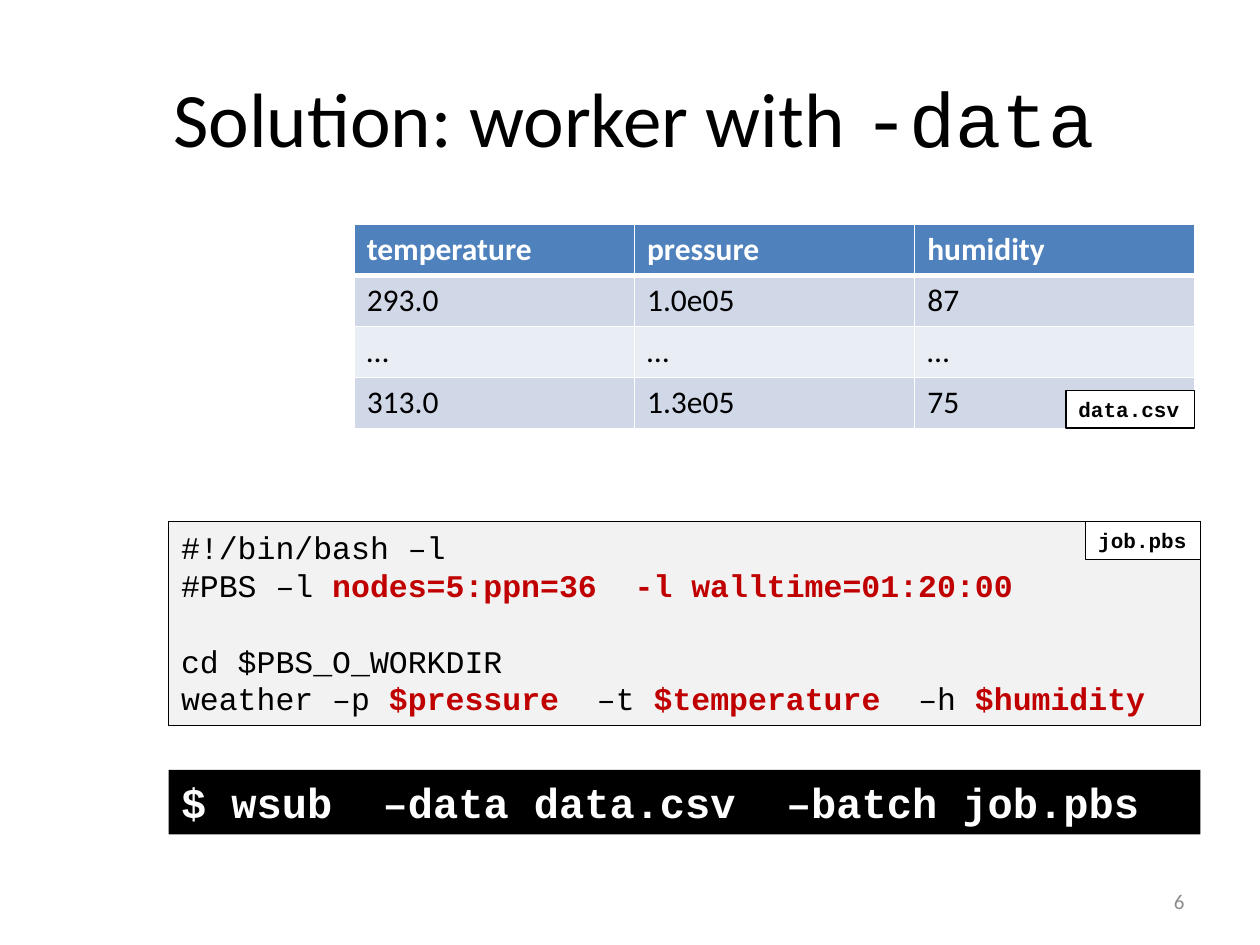
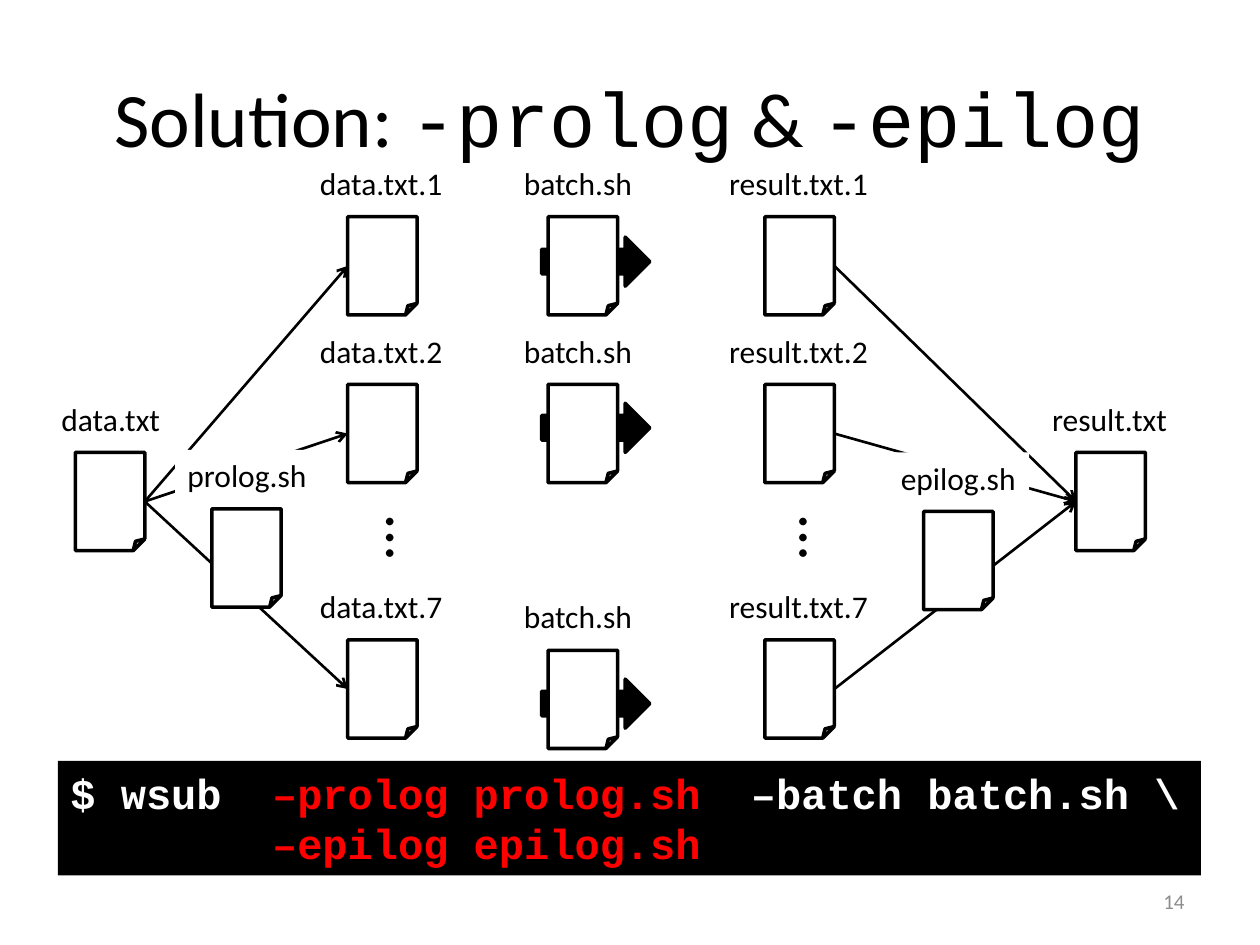
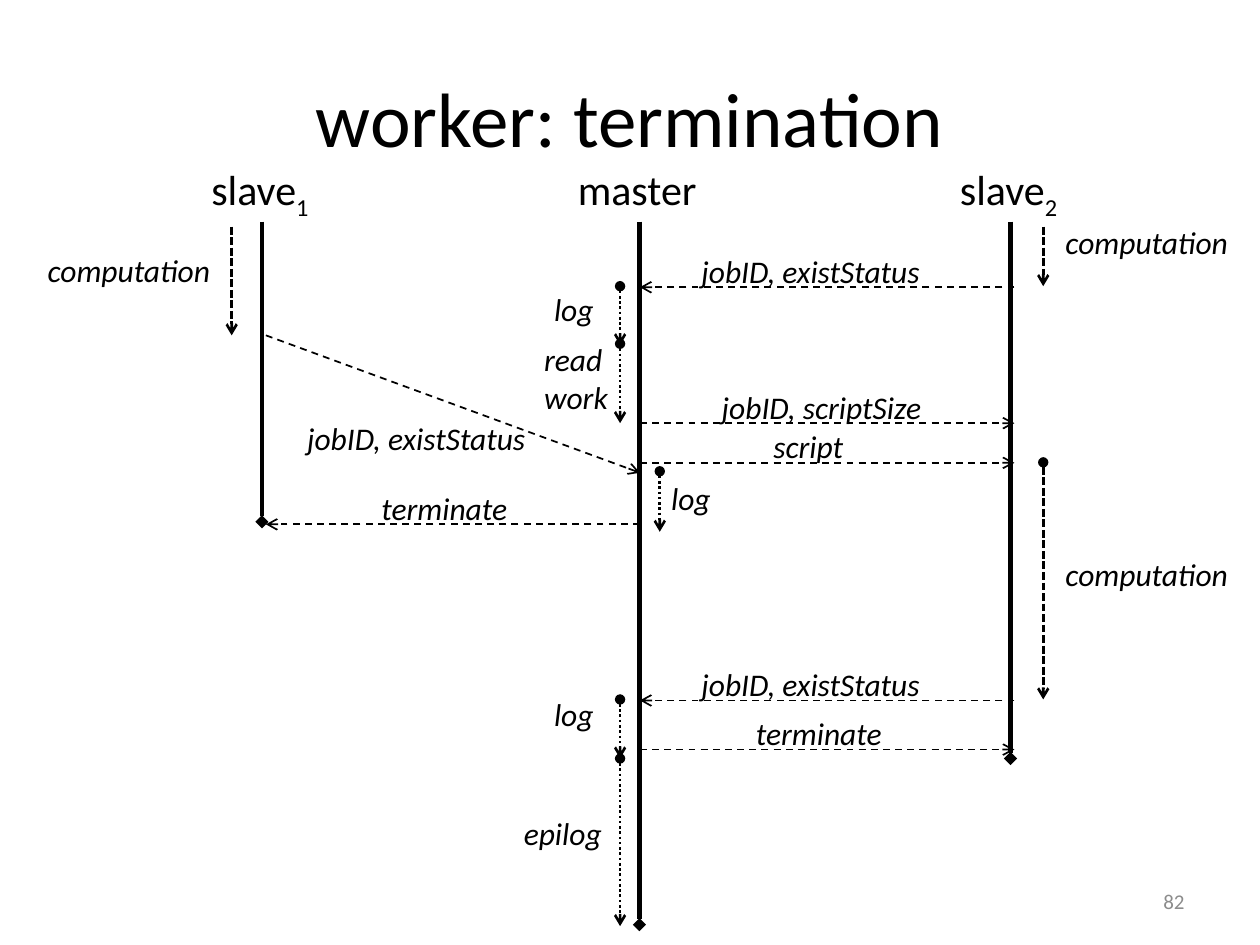
from dataclasses import dataclass, replace

from lxml.etree import SubElement
from pptx import Presentation
from pptx.dml.color import RGBColor
from pptx.enum.dml import MSO_LINE
from pptx.enum.shapes import MSO_CONNECTOR, MSO_SHAPE
from pptx.enum.text import MSO_ANCHOR, MSO_AUTO_SIZE, PP_ALIGN
from pptx.oxml.ns import qn
from pptx.util import Cm, Pt

BLACK = RGBColor(0x00, 0x00, 0x00)
WHITE = RGBColor(0xFF, 0xFF, 0xFF)
DARK_RED = RGBColor(0xC0, 0x00, 0x00)
RED = RGBColor(0xFF, 0x00, 0x00)
CODE_GRAY = RGBColor(0xF2, 0xF2, 0xF2)
NUMBER_GRAY = RGBColor(0x8C, 0x8C, 0x8C)
HEADER_BLUE = RGBColor(0x4F, 0x81, 0xBD)
BAND_DARK = RGBColor(0xD0, 0xD8, 0xE8)
BAND_LIGHT = RGBColor(0xE9, 0xED, 0xF4)


@dataclass(frozen=True)
class Style:
    size: int
    font: str = "Calibri"
    color: RGBColor = BLACK
    bold: bool = False
    italic: bool = False
    baseline: int = 0


TITLE = Style(44)
TITLE_CODE = Style(44, "Courier New")
LABEL = Style(18)
NOTE = Style(18, italic=True)
NAME = Style(24)
SUBSCRIPT = replace(NAME, baseline=-25000)
DOTS = Style(36)
NUMBER = Style(12, color=NUMBER_GRAY)
CODE = Style(18, "Courier New")
CODE_KEY = replace(CODE, color=DARK_RED, bold=True)
FILE_NAME = Style(12, "Courier New", bold=True)
COMMAND = Style(24, "Courier New", WHITE, bold=True)
COMMAND_KEY = replace(COMMAND, color=RED)
TABLE_HEAD = Style(18, color=WHITE, bold=True)

LABEL_HEIGHT = 1.02
PAGE_WIDTH, PAGE_HEIGHT = 1.4, 1.98


def format_run(run, style):
    font = run.font
    font.name = style.font
    font.size = Pt(style.size)
    font.bold = style.bold
    font.italic = style.italic
    font.color.rgb = style.color
    if style.baseline:
        run._r.get_or_add_rPr().set("baseline", str(style.baseline))


def write_lines(text_frame, lines, align=PP_ALIGN.LEFT):
    """Write one paragraph per line, each a list of (text, style) runs."""
    for index, runs in enumerate(lines):
        paragraph = text_frame.paragraphs[0] if index == 0 else text_frame.add_paragraph()
        paragraph.alignment = align
        for text, style in runs:
            run = paragraph.add_run()
            run.text = text
            format_run(run, style)


def add_preset(slide, preset, left, top, width, height, fill, line_width=None):
    shape = slide.shapes.add_shape(preset, Cm(left), Cm(top), Cm(width), Cm(height))
    shape.shadow.inherit = False
    shape.fill.solid()
    shape.fill.fore_color.rgb = fill
    if line_width:
        shape.line.color.rgb = BLACK
        shape.line.width = Pt(line_width)
    else:
        shape.line.fill.background()
    return shape


def add_text(slide, left, top, width, height, lines, fill=None, line_width=None,
             wrap=False, align=PP_ALIGN.LEFT, anchor=MSO_ANCHOR.TOP):
    if fill is None:
        shape = slide.shapes.add_textbox(Cm(left), Cm(top), Cm(width), Cm(height))
    else:
        shape = add_preset(slide, MSO_SHAPE.RECTANGLE, left, top, width, height,
                           fill, line_width)
    text_frame = shape.text_frame
    text_frame.word_wrap = wrap
    text_frame.vertical_anchor = anchor
    text_frame.auto_size = (MSO_AUTO_SIZE.SHAPE_TO_FIT_TEXT
                            if anchor == MSO_ANCHOR.TOP else MSO_AUTO_SIZE.NONE)
    write_lines(text_frame, lines, align)
    return shape


def add_title(slide, runs, left=1.27):
    add_text(slide, left, 0.76, 22.86, 3.18, [runs], wrap=True,
             align=PP_ALIGN.CENTER, anchor=MSO_ANCHOR.MIDDLE)


def add_number(slide, number):
    add_text(slide, 18.21, 17.65, 5.92, 1.02, [[(str(number), NUMBER)]], wrap=True,
             align=PP_ALIGN.RIGHT, anchor=MSO_ANCHOR.MIDDLE)


def add_line(slide, start, end, width, dash=None, head=None, tail="arrow"):
    """Draw a line between two (x, y) points in lengths, with ends by name."""
    connector = slide.shapes.add_connector(MSO_CONNECTOR.STRAIGHT, *start, *end)
    connector.line.color.rgb = BLACK
    connector.line.width = Pt(width)
    if dash:
        connector.line.dash_style = dash
    properties = connector.element.spPr
    outline = properties.find(qn("a:ln"))
    for tag, kind in (("a:headEnd", head), ("a:tailEnd", tail)):
        if kind:
            SubElement(outline, qn(tag), type=kind)
    SubElement(properties, qn("a:effectLst"))


def set_cell_borders(cell, top, bottom):
    properties = cell._tc.get_or_add_tcPr()
    for tag, width in (("a:lnL", 1), ("a:lnR", 1), ("a:lnT", top), ("a:lnB", bottom)):
        border = SubElement(properties, qn(tag), w=str(Pt(width)))
        SubElement(SubElement(border, qn("a:solidFill")), qn("a:srgbClr"), val=str(WHITE))


def add_data_table(slide, left, top, rows, column_width, row_height):
    columns = len(rows[0])
    table = slide.shapes.add_table(
        len(rows), columns, Cm(left), Cm(top),
        Cm(column_width * columns), Cm(row_height * len(rows))).table
    for column in table.columns:
        column.width = Cm(column_width)
    for row_index, values in enumerate(rows):
        table.rows[row_index].height = Cm(row_height)
        is_head = row_index == 0
        band = BAND_DARK if row_index % 2 else BAND_LIGHT
        for column_index, value in enumerate(values):
            cell = table.cell(row_index, column_index)
            set_cell_borders(cell, 3 if row_index == 1 else 1, 3 if is_head else 1)
            cell.fill.solid()
            cell.fill.fore_color.rgb = HEADER_BLUE if is_head else band
            write_lines(cell.text_frame, [[(value, TABLE_HEAD if is_head else LABEL)]])


def add_document(slide, name, left, top, label_left, label_width, label_fill=None):
    """Draw a page with its file name above it."""
    page = add_preset(slide, MSO_SHAPE.FOLDED_CORNER, left, top,
                      PAGE_WIDTH, PAGE_HEIGHT, WHITE, 2)
    add_text(slide, label_left, top - 1.19, label_width, LABEL_HEIGHT,
             [[(name, LABEL)]], label_fill)
    return page


def link_documents(slide, source, target):
    add_line(slide, (source.left + source.width, source.top + source.height // 2),
             (target.left, target.top + target.height // 2), 1.5)


def add_note(slide, left, top, width, *lines):
    add_text(slide, left, top, width, LABEL_HEIGHT, [[(line, NOTE)] for line in lines])


def add_message(slide, text, start_x, end_x, y, label_left, label_width):
    add_line(slide, (Cm(start_x), Cm(y)), (Cm(end_x), Cm(y)), 1, MSO_LINE.DASH)
    add_note(slide, label_left, y - 0.84, label_width, text)


def build_data_slide(slide):
    add_title(slide, [("Solution: worker with ", TITLE), ("-data", TITLE_CODE)], 1.35)
    add_text(slide, 3.4, 15.52, 20.8, 1.3,
             [[("$ wsub  –data data.csv  –batch job.pbs", COMMAND)]], BLACK, wrap=True)
    script = add_text(slide, 3.4, 10.52, 20.8, 4.11, [
        [("#!/bin/bash –l", CODE)],
        [("#PBS –l ", CODE), ("nodes=5:ppn=36  -l walltime=01:20:00", CODE_KEY)],
        [("cd $PBS_O_WORKDIR", CODE)],
        [("weather –p ", CODE), ("$pressure", CODE_KEY),
         ("  –t ", CODE), ("$temperature", CODE_KEY),
         ("  –h ", CODE), ("$humidity", CODE_KEY)],
    ], CODE_GRAY, 0.75)
    script.text_frame.paragraphs[2].space_before = Pt(21.7)
    add_text(slide, 21.89, 10.52, 2.31, 0.76, [[("job.pbs", FILE_NAME)]], WHITE, 0.75)
    add_data_table(slide, 7.14, 4.52, [
        ("temperature", "pressure", "humidity"),
        ("293.0", "1.0e05", "87"),
        ("…", "…", "…"),
        ("313.0", "1.3e05", "75"),
    ], 5.65, 1.03)
    add_text(slide, 21.49, 7.87, 2.59, 0.76, [[("data.csv", FILE_NAME)]], WHITE, 0.75)


def build_prolog_slide(slide):
    add_title(slide, [("Solution: ", TITLE), ("-prolog", TITLE_CODE),
                      (" & ", TITLE), ("-epilog", TITLE_CODE)])
    data = add_document(slide, "data.txt", 1.52, 9.12, 0.99, 2.51)
    result = add_document(slide, "result.txt", 21.69, 9.12, 20.96, 2.84)
    for number, top in ((1, 4.37), (2, 7.75), (7, 12.9)):
        part = add_document(slide, f"data.txt.{number}", 7.01, top, 6.2, 3)
        link_documents(slide, data, part)
        part_result = add_document(slide, f"result.txt.{number}", 15.42, top, 14.45, 3.33)
        link_documents(slide, part_result, result)
    for left in (6.73, 15.06):
        dots = add_text(slide, left, 9.93, 1.4, 1.8, [[("…", DOTS)]])
        dots.rotation = 270
    for top, arrow_top in ((4.37, 4.78), (7.75, 8.13), (13.11, 13.69)):
        add_preset(slide, MSO_SHAPE.RIGHT_ARROW, 10.92, arrow_top, 2.18, 0.99, BLACK, 2)
        add_document(slide, "batch.sh", 11.05, top, 10.31, 2.72, WHITE)
    add_document(slide, "epilog.sh", 18.62, 10.31, 17.91, 2.84, WHITE)
    add_document(slide, "prolog.sh", 4.27, 10.26, 3.53, 2.95, WHITE)
    add_text(slide, 1.17, 15.34, 23.04, 2.31, [
        [("$ wsub  ", COMMAND), ("–prolog prolog.sh", COMMAND_KEY),
         ("  –batch batch.sh \\", COMMAND)],
        [("        ", COMMAND), ("–epilog epilog.sh", COMMAND_KEY)],
    ], BLACK)


def build_termination_slide(slide):
    add_title(slide, [("worker: termination", TITLE)])

    lifelines = [
        ([("slave", NAME), ("1", SUBSCRIPT)], 4.01, 2.54, 5.28, 10.52),
        ([("master", NAME)], 11.4, 2.92, 12.89, 18.64),
        ([("slave", NAME), ("2", SUBSCRIPT)], 19.1, 2.54, 20.37, 15.29),
    ]
    for name, label_left, label_width, x, bottom in lifelines:
        add_line(slide, (Cm(x), Cm(4.47)), (Cm(x), Cm(bottom)), 2.5, tail="diamond")
        add_text(slide, label_left, 3.18, label_width, 1.3, [name])

    slave_1, master, slave_2 = 5.36, 12.9, 20.45
    messages = [
        ("jobID, existStatus", slave_2, master, 5.79, 13.89, 4.95),
        ("jobID, scriptSize", master, slave_2, 8.53, 14.3, 4.62),
        ("script", master, slave_2, 9.33, 15.34, 1.93),
        ("terminate", master, slave_1, 10.57, 7.44, 3.07),
        ("jobID, existStatus", slave_2, master, 14.12, 13.89, 4.95),
        ("terminate", master, slave_2, 15.11, 14.99, 3.07),
    ]
    for message in messages:
        add_message(slide, *message)
    add_line(slide, (Cm(slave_1), Cm(6.76)), (Cm(master), Cm(9.53)), 1, MSO_LINE.DASH)
    add_note(slide, 5.94, 8.33, 4.95, "jobID, existStatus")

    master_steps = [(12.5, 5.77, 6.96), (12.5, 6.93, 8.53), (13.3, 9.5, 10.72),
                    (12.5, 14.1, 15.29), (12.5, 15.29, 18.67)]
    for x, top, bottom in master_steps:
        add_line(slide, (Cm(x), Cm(top)), (Cm(x), Cm(bottom)), 1.5,
                 MSO_LINE.ROUND_DOT, head="oval")
    computations = [(4.67, 4.57, 6.76, None), (21.03, 4.57, 5.77, None),
                    (21.03, 9.32, 14.1, "oval")]
    for x, top, bottom, head in computations:
        add_line(slide, (Cm(x), Cm(top)), (Cm(x), Cm(bottom)), 1.5,
                 MSO_LINE.SQUARE_DOT, head=head)

    for left, top in ((0.71, 4.93), (21.23, 4.37), (21.23, 11.07)):
        add_note(slide, left, top, 3.86, "computation")
    for left, top in ((10.92, 5.72), (13.28, 9.53), (10.92, 13.89)):
        add_note(slide, left, top, 1.32, "log")
    add_note(slide, 10.72, 6.73, 1.83, "read", "work")
    add_note(slide, 10.31, 16.28, 2.11, "epilog")


def main():
    presentation = Presentation()
    presentation.slide_width = Cm(25.4)
    presentation.slide_height = Cm(19.05)
    blank_layout = presentation.slide_layouts[6]
    for build, number in ((build_data_slide, 6), (build_prolog_slide, 14),
                          (build_termination_slide, 82)):
        slide = presentation.slides.add_slide(blank_layout)
        build(slide)
        add_number(slide, number)
    presentation.save("out.pptx")


if __name__ == "__main__":
    main()
